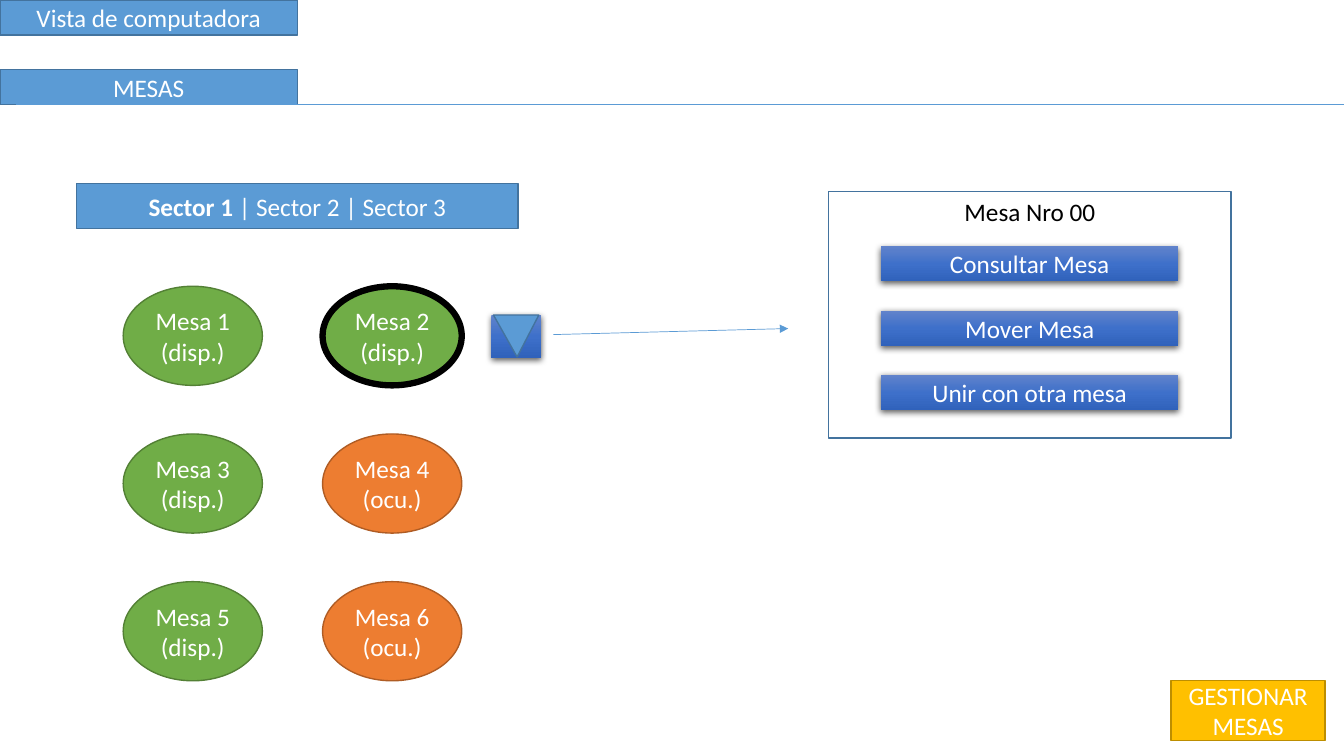
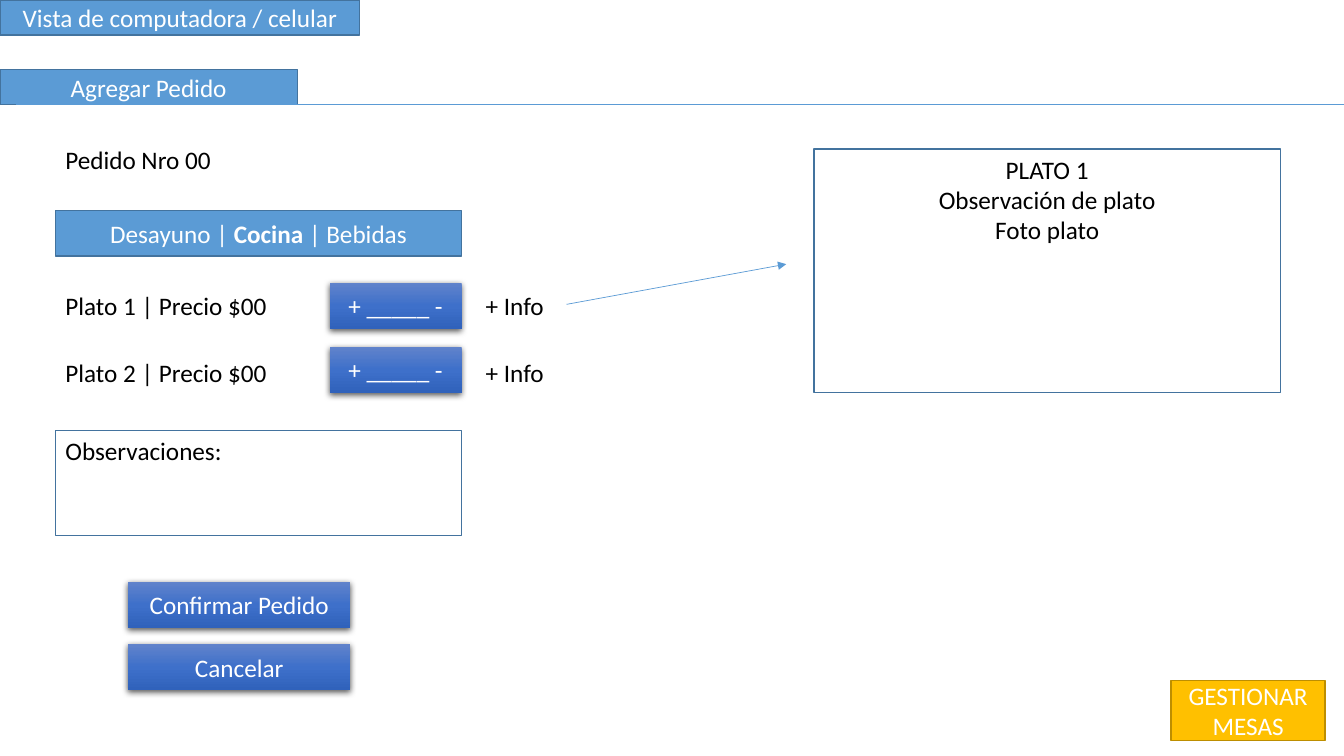
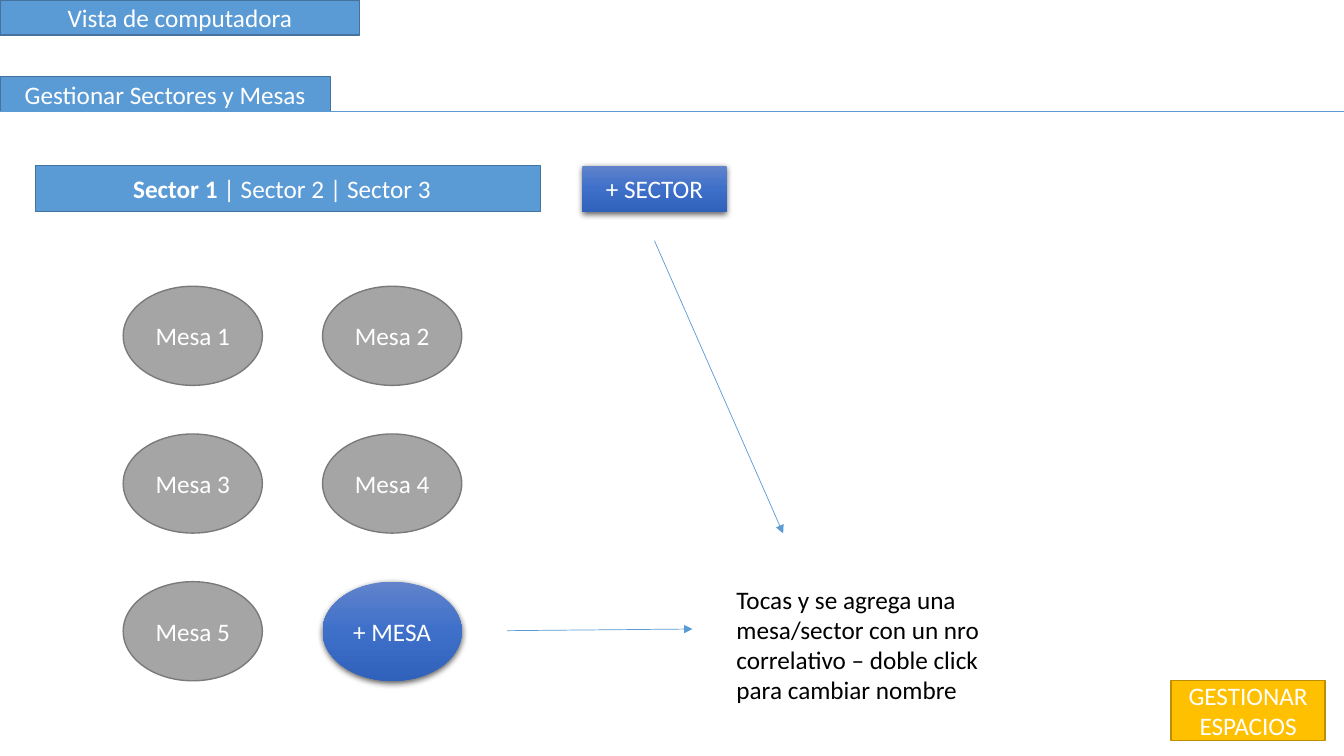
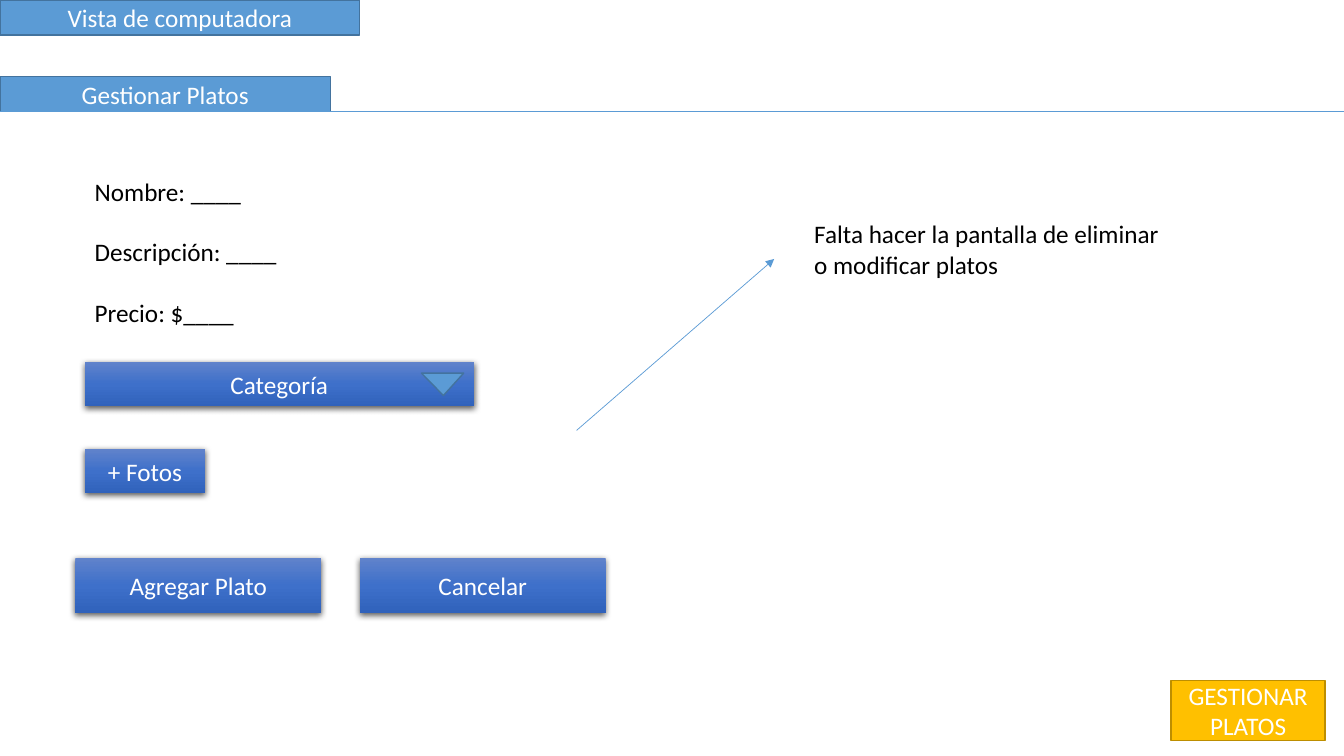
from dataclasses import dataclass

from pptx import Presentation
from pptx.dml.color import RGBColor
from pptx.enum.shapes import MSO_CONNECTOR as Connector, MSO_SHAPE as Preset
from pptx.enum.text import MSO_ANCHOR as Anchor, PP_ALIGN as Align
from pptx.oxml import parse_xml
from pptx.oxml.ns import nsdecls, qn
from pptx.util import Pt


@dataclass(frozen=True)
class Theme:
    font: str = "Calibri"
    size: float = 18
    white: str = "FFFFFF"
    black: str = "000000"
    blue: tuple = ("5B9BD5", "43739E")
    green: tuple = ("70AD47", "538035")
    orange: tuple = ("ED7D31", "AF5C24")
    gray: tuple = ("A5A5A5", "7A7A7A")
    gold: tuple = ("FFC000", "BD8E00")
    panel: tuple = ("FFFFFF", "43739E")
    button: tuple = ((0, "6183CB"), (50, "3E70CA"), (100, "3062BB"))
    outline: float = 1
    selected: float = 4.5
    hairline: float = 0.5
    paragraph_gap: float = 21.6


THEME = Theme()
PAGE_WIDTH, PAGE_HEIGHT = 960, 540


def points(*values):
    return [Pt(value) for value in values]


def color(code):
    return RGBColor.from_string(code)


def write(box, lines, ink, align, anchor, gap=0):
    frame = box.text_frame
    frame.word_wrap = True
    frame.vertical_anchor = anchor
    frame.text = lines.replace("**", "")
    for para, line in zip(frame.paragraphs, lines.split("\n")):
        parts = line.split("**")
        para.alignment = align
        para.space_after = Pt(gap)
        para.text = parts[0]
        for part in parts[1:]:
            para.add_run().text = part
        for index, span in enumerate(para.runs[-len(parts):]):
            span.font.name = THEME.font
            span.font.size = Pt(THEME.size)
            span.font.bold = len(parts) > 1 and span.text == parts[1]
            span.font.color.rgb = color(ink)


def block(page, place, colors, text="", preset=Preset.RECTANGLE,
          ink=THEME.white, align=Align.CENTER, anchor=Anchor.MIDDLE):
    box = page.shapes.add_shape(preset, *points(*place))
    box.shadow.inherit = False
    fill, outline = colors
    box.fill.solid()
    box.fill.fore_color.rgb = color(fill)
    box.line.color.rgb = color(outline)
    box.line.width = Pt(THEME.outline)
    if text:
        write(box, text, ink, align, anchor)
    return box


def panel(page, place, text, align=Align.CENTER):
    block(page, place, THEME.panel, text, ink=THEME.black, align=align, anchor=Anchor.TOP)


def button(page, place, text="", preset=Preset.RECTANGLE):
    box = page.shapes.add_shape(preset, *points(*place))
    box.line.fill.background()
    box.shadow.inherit = False
    stops = "".join(
        f'<a:gs pos="{stop * 1000}"><a:srgbClr val="{code}"/></a:gs>'
        for stop, code in THEME.button
    )
    properties = box._element.spPr
    properties.find(qn("a:ln")).addprevious(parse_xml(
        f'<a:gradFill {nsdecls("a")} rotWithShape="1"><a:gsLst>{stops}</a:gsLst>'
        '<a:lin ang="5400000" scaled="0"/></a:gradFill>'
    ))
    properties.find(qn("a:effectLst")).append(parse_xml(
        f'<a:outerShdw {nsdecls("a")} blurRad="{Pt(4.5)}" dist="{Pt(1.5)}" dir="5400000" '
        f'algn="ctr" rotWithShape="0"><a:srgbClr val="{THEME.black}">'
        '<a:alpha val="63000"/></a:srgbClr></a:outerShdw>'
    ))
    if text:
        write(box, text, THEME.white, Align.CENTER, Anchor.MIDDLE)


def note(page, place, text, gap=0):
    box = page.shapes.add_textbox(*points(*place))
    write(box, text, THEME.black, Align.LEFT, Anchor.TOP, gap)


def drop_mark(page, place):
    mark = block(page, place, THEME.blue, preset=Preset.ISOSCELES_TRIANGLE)
    mark.adjustments[0] = 0.48
    mark.rotation = 180


def rule(page, start, end, arrow=False):
    line = page.shapes.add_connector(Connector.STRAIGHT, *points(*start, *end))
    line.line.color.rgb = color(THEME.blue[0])
    line.line.width = Pt(THEME.hairline)
    properties = line._element.spPr
    if arrow:
        properties.find(qn("a:ln")).append(parse_xml(f'<a:tailEnd {nsdecls("a")} type="triangle"/>'))
    properties.append(parse_xml(f'<a:effectLst {nsdecls("a")}/>'))


def table_spot(index):
    row, column = divmod(index, 2)
    return 88 + 142.4 * column, 204.5 + 105.5 * row, 99.4, 70.8


def dining_table(page, index, colors, text):
    return block(page, table_spot(index), colors, text, Preset.OVAL)


def start_page(deck, view, view_width, title, tab, rule_left, action):
    page = deck.slides.add_slide(deck.slide_layouts[6])
    tab_top, tab_width = tab
    tab_height = 25
    block(page, (0, 0, view_width, tab_height), THEME.blue, view)
    block(page, (0, tab_top, tab_width, tab_height), THEME.blue, title)
    rule(page, (rule_left, tab_top + tab_height), (PAGE_WIDTH, tab_top + tab_height))
    block(page, (836.5, 486, 110, 43), THEME.gold, action)
    return page


def tables_page(deck):
    page = start_page(deck, "Vista de computadora", 212.4, "MESAS", (49.7, 212.4), 11.5, "GESTIONAR MESAS")
    block(page, (54.7, 131, 315.4, 32.4), THEME.blue, "**Sector 1** | Sector 2 | Sector 3")
    for index in range(6):
        busy = index in (3, 5)
        state = "ocu." if busy else "disp."
        table = dining_table(page, index, THEME.orange if busy else THEME.green, f"Mesa {index + 1} ({state})")
        if index == 1:
            table.line.color.rgb = color(THEME.black)
            table.line.width = Pt(THEME.selected)
    button(page, (351, 225, 35.5, 30.5))
    drop_mark(page, (352.5, 225, 32.4, 30))
    rule(page, (395.3, 239), (563, 234.7), arrow=True)
    panel(page, (592, 137, 287.3, 176), "Mesa Nro 00")
    for index, text in enumerate(("Consultar Mesa", "Mover Mesa", "Unir con otra mesa")):
        button(page, (629.3, 176 + 46 * index, 212.4, 25), text)


def order_page(deck):
    page = start_page(deck, "Vista de computadora / celular", 257, "Agregar Pedido",
                      (49.7, 212.4), 11.5, "GESTIONAR MESAS")
    left, width = 39.6, 290
    note(page, (left, 99.5, 122.4, 29), "Pedido Nro 00")
    block(page, (left, 150.5, width, 32.4), THEME.blue, "Desayuno | **Cocina** | Bebidas")
    for index in range(2):
        top = 204 + 47.5 * index
        note(page, (left, top, width, 29), f"Plato {index + 1} | Precio $00")
        button(page, (235.4, 202 + 45.7 * index, 94.3, 33), "+ _____ -")
        note(page, (339.8, top, 121.7, 29), "+ Info")
    panel(page, (left, 307.5, width, 75), "Observaciones:", Align.LEFT)
    for index, text in enumerate(("Confirmar Pedido", "Cancelar")):
        button(page, (91.4, 415.5 + 44.6 * index, 159, 33), text)
    panel(page, (581.5, 106.5, 333, 174), "PLATO 1\nObservación de plato\nFoto plato")
    rule(page, (404.7, 217.4), (561.6, 188.7), arrow=True)


def sectors_page(deck):
    page = start_page(deck, "Vista de computadora", 257, "Gestionar Sectores y Mesas",
                      (54.7, 236), 0, "GESTIONAR ESPACIOS")
    sectors = block(page, (25.2, 118.3, 360.7, 33), THEME.blue, "**Sector 1** | Sector 2 | Sector 3")
    sectors.text_frame.margin_right = Pt(15.4)
    button(page, (416, 118.3, 103, 33), "+ SECTOR")
    for index in range(5):
        dining_table(page, index, THEME.gray, f"Mesa {index + 1}")
    button(page, table_spot(5), "+ MESA", Preset.OVAL)
    note(page, (519, 413.5, 197.3, 94.3),
         "Tocas y se agrega una mesa/sector con un nro correlativo – doble click para cambiar nombre")
    rule(page, (362.2, 450.5), (494.6, 449.3), arrow=True)
    rule(page, (467.5, 172), (559.4, 381), arrow=True)


def dishes_page(deck):
    page = start_page(deck, "Vista de computadora", 257, "Gestionar Platos",
                      (54.7, 236), 0, "GESTIONAR PLATOS")
    note(page, (60.5, 122.4, 351.4, 160), "Nombre: ____\nDescripción: ____\nPrecio: $____", THEME.paragraph_gap)
    button(page, (60.5, 258.3, 278, 32), "Categoría")
    drop_mark(page, (301, 266.5, 30.2, 16))
    button(page, (60.5, 320.5, 86, 32), "+ Fotos")
    for index, text in enumerate(("Agregar Plato", "Cancelar")):
        button(page, (53.8 + 203.2 * index, 398.3, 175.7, 39.6), text)
    note(page, (574.5, 152.6, 261.4, 51), "Falta hacer la pantalla de eliminar o modificar platos")
    rule(page, (411.8, 307.5), (553, 185), arrow=True)


def main():
    deck = Presentation()
    deck.slide_width, deck.slide_height = points(PAGE_WIDTH, PAGE_HEIGHT)
    for build in (tables_page, order_page, sectors_page, dishes_page):
        build(deck)
    deck.save("out.pptx")


if __name__ == "__main__":
    main()
